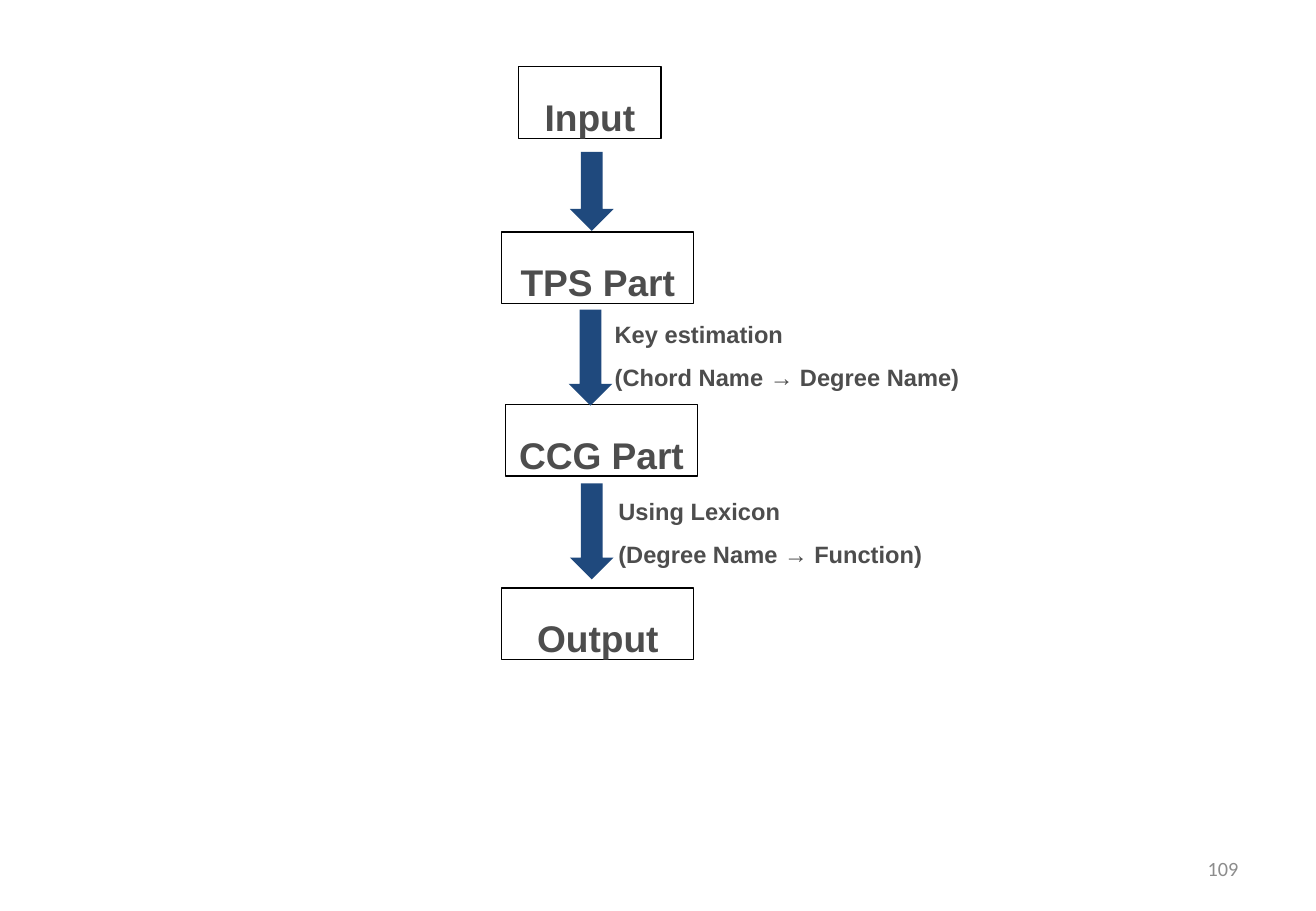
from dataclasses import dataclass

from pptx import Presentation
from pptx.dml.color import RGBColor
from pptx.enum.shapes import MSO_SHAPE
from pptx.enum.text import MSO_ANCHOR, PP_ALIGN
from pptx.shapes.base import BaseShape
from pptx.slide import Slide
from pptx.util import Inches, Length, Pt

RECTANGLE, DOWN_ARROW = MSO_SHAPE.RECTANGLE, MSO_SHAPE.DOWN_ARROW
LEFT, CENTER, RIGHT = PP_ALIGN.LEFT, PP_ALIGN.CENTER, PP_ALIGN.RIGHT
TOP, MIDDLE = MSO_ANCHOR.TOP, MSO_ANCHOR.MIDDLE

CELL = 0.1  # inches per grid column and row
COLUMNS, ROWS = 108.3, 75


@dataclass(frozen=True)
class Theme:
    ink: RGBColor = RGBColor(0x4D, 0x4D, 0x4D)
    muted: RGBColor = RGBColor(0x8C, 0x8C, 0x8C)
    arrow: RGBColor = RGBColor(0x1F, 0x49, 0x7D)
    border: RGBColor = RGBColor(0, 0, 0)
    border_width: Length = Pt(0.75)
    stage_size: Length = Pt(22)
    note_size: Length = Pt(14)
    number_size: Length = Pt(12)
    body_font: str = "Arial"
    number_font: str = "Calibri"


THEME = Theme()


@dataclass(frozen=True)
class Area:
    """A block of the grid, measured in columns and rows."""
    column: float
    row: float
    columns: float
    rows: float

    def box(self) -> list[Length]:
        return [Inches(cells * CELL)
                for cells in (self.column, self.row, self.columns, self.rows)]


@dataclass(frozen=True)
class Stage:
    name: str
    area: Area


@dataclass(frozen=True)
class Note:
    lines: tuple[str, ...]
    area: Area


STAGES = (
    Stage("Input", Area(42.7, 5.5, 11.7, 5.9)),
    Stage("TPS Part", Area(41.3, 19.1, 15.8, 5.9)),
    Stage("CCG Part", Area(41.6, 33.3, 15.8, 5.9)),
    Stage("Output", Area(41.3, 48.4, 15.8, 5.9)),
)
ARROWS = (
    Area(46.9, 12.5, 3.6, 6.5),
    Area(46.8, 25.5, 3.6, 7.9),
    Area(46.9, 39.8, 3.6, 7.9),
)
NOTES = (
    Note(("Key estimation", "(Chord Name → Degree Name)"),
         Area(49.6, 24.6, 40.1, 7.7)),
    Note(("Using Lexicon", "(Degree Name → Function)"),
         Area(49.9, 39.2, 28.2, 7.7)),
)
PAGE_NUMBER = Note(("109",), Area(77.6, 69.5, 25.3, 4))

STAGE_FONT = {"name": THEME.body_font, "size": THEME.stage_size, "bold": True}
NOTE_FONT = {**STAGE_FONT, "size": THEME.note_size}
NUMBER_FONT = {"name": THEME.number_font, "size": THEME.number_size}
FLOW_FRAME = {"word_wrap": True, "vertical_anchor": TOP,
              "margin_top": Inches(0.08)}
NUMBER_FRAME = {"word_wrap": True, "vertical_anchor": MIDDLE}
FLOW_SPACING = {"line_spacing": 1.4}


def apply_format(target: object, values: dict[str, object]) -> None:
    for attribute, value in values.items():
        setattr(target, attribute, value)


def write_lines(holder: BaseShape, lines: tuple[str, ...],
                frame_format: dict[str, object],
                paragraph_format: dict[str, object],
                font_format: dict[str, object], color: RGBColor) -> None:
    frame = holder.text_frame
    apply_format(frame, frame_format)
    for index, line in enumerate(lines):
        paragraph = frame.add_paragraph() if index else frame.paragraphs[0]
        apply_format(paragraph, paragraph_format)
        if index:
            paragraph.space_before = Pt(2)
        run = paragraph.add_run()
        run.text = line
        apply_format(run.font, font_format)
        run.font.color.rgb = color


def draw_stage(slide: Slide, stage: Stage) -> None:
    rectangle = slide.shapes.add_shape(RECTANGLE, *stage.area.box())
    rectangle.shadow.inherit = False
    rectangle.fill.background()
    rectangle.line.color.rgb = THEME.border
    rectangle.line.width = THEME.border_width
    write_lines(rectangle, (stage.name,), FLOW_FRAME,
                {**FLOW_SPACING, "alignment": CENTER}, STAGE_FONT, THEME.ink)


def draw_arrow(slide: Slide, area: Area) -> None:
    arrow = slide.shapes.add_shape(DOWN_ARROW, *area.box())
    arrow.shadow.inherit = False
    arrow.fill.solid()
    arrow.fill.fore_color.rgb = THEME.arrow
    arrow.line.fill.background()


def draw_note(slide: Slide, note: Note) -> None:
    write_lines(slide.shapes.add_textbox(*note.area.box()), note.lines,
                FLOW_FRAME, {**FLOW_SPACING, "alignment": LEFT},
                NOTE_FONT, THEME.ink)


def draw_page_number(slide: Slide, number: Note) -> None:
    write_lines(slide.shapes.add_textbox(*number.area.box()), number.lines,
                NUMBER_FRAME, {"alignment": RIGHT}, NUMBER_FONT, THEME.muted)


def main() -> None:
    deck = Presentation()
    deck.slide_width = Inches(COLUMNS * CELL)
    deck.slide_height = Inches(ROWS * CELL)
    slide = deck.slides.add_slide(deck.slide_layouts[6])
    for stage in STAGES:
        draw_stage(slide, stage)
    for area in ARROWS:
        draw_arrow(slide, area)
    for note in NOTES:
        draw_note(slide, note)
    draw_page_number(slide, PAGE_NUMBER)
    deck.save("out.pptx")


if __name__ == "__main__":
    main()
